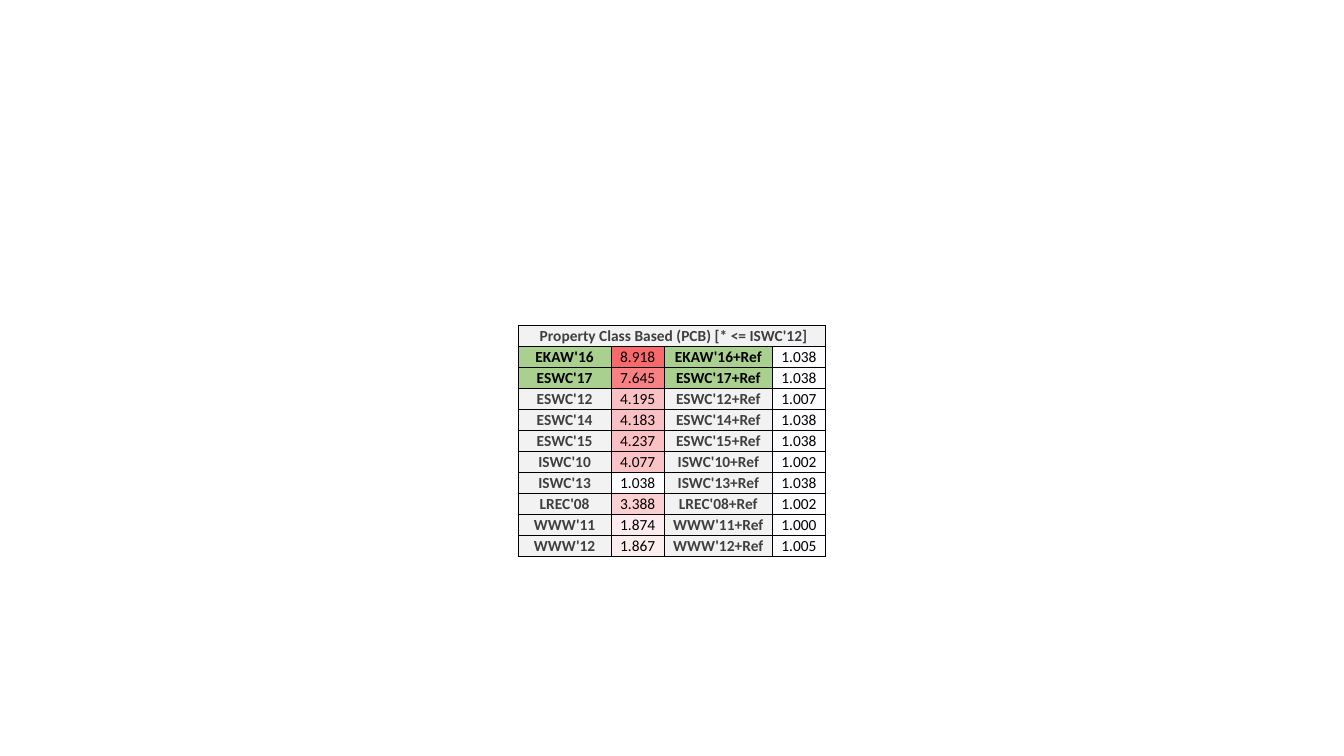
"""Build a slide with a heat-mapped table of property class based scores."""
from lxml import etree
from pptx import Presentation
from pptx.dml.color import RGBColor
from pptx.enum.text import MSO_ANCHOR, PP_ALIGN
from pptx.oxml.ns import qn
from pptx.util import Inches, Pt

MIDDLE, CENTER = MSO_ANCHOR.MIDDLE, PP_ALIGN.CENTER
TITLE = " Property Class Based (PCB) [* <= ISWC'12]"
SCORES = [
    ("EKAW'16", 8.918, 1.038),
    ("ESWC'17", 7.645, 1.038),
    ("ESWC'12", 4.195, 1.007),
    ("ESWC'14", 4.183, 1.038),
    ("ESWC'15", 4.237, 1.038),
    ("ISWC'10", 4.077, 1.002),
    ("ISWC'13", 1.038, 1.038),
    ("LREC'08", 3.388, 1.002),
    ("WWW'11", 1.874, 1.000),
    ("WWW'12", 1.867, 1.005),
]
MARKED = ("EKAW'16", "ESWC'17")
COLORS = {"black": "000000", "gray": "3F3F3F", "pale": "F2F2F2",
          "green": "A9D08E", "low": "FCFCFF", "high": "F8696B"}
LEFT, TOP, HEIGHT = 5.14, 3.23, 2.29
WIDTHS = (0.92, 0.53, 1.07, 0.53)
LOW, HIGH = 1.038, 8.918


def heat(score):
    """Blend the low and high colours by score."""
    share = max(0, (score - LOW) / (HIGH - LOW))
    ends = zip(RGBColor.from_string(COLORS["low"]),
               RGBColor.from_string(COLORS["high"]))
    return str(RGBColor(*(round(a + (b - a) * share) for a, b in ends)))


def edge(cell):
    """Draw a thin line on each side of a cell."""
    props = cell._tc.get_or_add_tcPr()
    for side in ("lnL", "lnR", "lnT", "lnB"):
        line = etree.SubElement(props, qn("a:" + side), w=str(Pt(0.5)))
        solid = etree.SubElement(line, qn("a:solidFill"))
        etree.SubElement(solid, qn("a:srgbClr"), val=COLORS["black"])


def style(cell, fill):
    """Set the borders, fill and insets of a cell."""
    edge(cell)
    cell.fill.solid()
    cell.fill.fore_color.rgb = RGBColor.from_string(fill)
    cell.vertical_anchor = MIDDLE
    cell.margin_left = cell.margin_right = cell.margin_top = Inches(0.01)
    cell.margin_bottom = 0


def write(cell, text, color, bold):
    """Add one centred run to a cell."""
    para = cell.text_frame.paragraphs[0]
    para.alignment = CENTER
    run = para.add_run()
    run.text = text
    run.font.name, run.font.size, run.font.bold = "Calibri", Pt(11), bold
    run.font.color.rgb = RGBColor.from_string(COLORS[color])


deck = Presentation()
deck.slide_width, deck.slide_height = Inches(13.33), Inches(7.5)
slide = deck.slides.add_slide(deck.slide_layouts[6])
count = len(SCORES) + 1
table = slide.shapes.add_table(
    count, len(WIDTHS), Inches(LEFT), Inches(TOP),
    Inches(sum(WIDTHS)), Inches(HEIGHT)).table
for col, width in zip(table.columns, WIDTHS):
    col.width = Inches(width)
for row in table.rows:
    row.height = Inches(HEIGHT / count)

for col in range(len(WIDTHS)):
    style(table.cell(0, col), COLORS["pale"])
head = table.cell(0, 0)
head.merge(table.cell(0, len(WIDTHS) - 1))
write(head, TITLE, "gray", True)

for row, (name, plain, ref) in enumerate(SCORES, 1):
    fill, ink = ("green", "black") if name in MARKED else ("pale", "gray")
    for col, (label, score) in enumerate(((name, plain), (name + "+Ref", ref))):
        tag, value = table.cell(row, 2 * col), table.cell(row, 2 * col + 1)
        style(tag, COLORS[fill])
        write(tag, label, ink, True)
        style(value, heat(score))
        write(value, f"{score:.3f}", "black", False)

deck.save("out.pptx")
